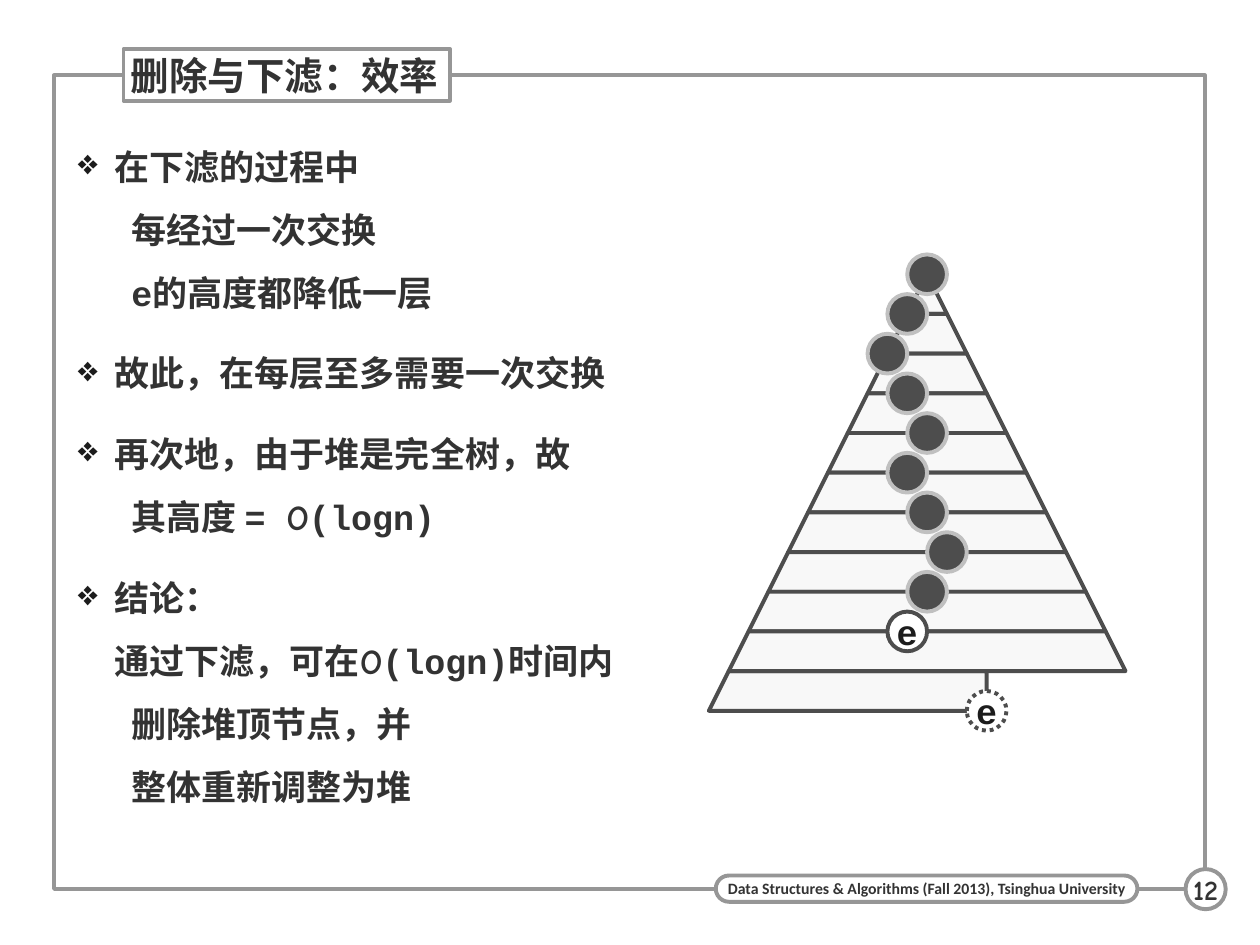
from dataclasses import dataclass

from lxml.etree import SubElement
from pptx import Presentation
from pptx.dml.color import RGBColor
from pptx.enum.dml import MSO_LINE_DASH_STYLE as Dash
from pptx.enum.lang import MSO_LANGUAGE_ID as Lang
from pptx.enum.shapes import MSO_SHAPE as Geo
from pptx.enum.text import MSO_ANCHOR as Anchor, PP_ALIGN as Align
from pptx.oxml.ns import qn
from pptx.util import Cm, Pt


@dataclass(frozen=True)
class Theme:
    text: str = "333333"
    strong: str = "1C1C1C"
    frame: str = "969696"
    ink: str = "4D4D4D"
    halo: str = "C0C0C0"
    layer: str = "F8F8F8"
    paper: str = "FFFFFF"
    line: float = 2.25
    title_size: int = 22
    body_size: int = 20
    page_size: int = 16
    footer_size: int = 9
    mono: str = "Courier New"
    comic: str = "Comic Neue"
    sans: str = "Calibri"


@dataclass(frozen=True)
class Label:
    text: str
    size: int
    font: str
    color: str
    align: Align = Align.CENTER
    inset: tuple[float, float] = (0, 0)


@dataclass(frozen=True)
class Node:
    """A heap node: horizontal offset in half steps from the apex, and level."""
    offset: int
    level: int
    text: str = ""
    dotted: bool = False


T = Theme()
APEX_X, APEX_Y = 18.69, 5.53
STEP = 0.8
HALF = STEP / 2
LEVELS = 10
LAST_ROW_END = 3
SIFT_PATH = [0, -1, -2, -1, 0, -1, 0, 1, 0]
NODES = [
    Node(LAST_ROW_END, LEVELS + 1, "e", dotted=True),
    *(Node(offset, level) for level, offset in enumerate(SIFT_PATH)),
    Node(-1, len(SIFT_PATH), "e"),
]

# Each bullet is a list of lines, each line a list of (text, font) runs.
BULLETS = [
    [[("在下滤的过程中", T.mono)],
     [("\t每经过一次交换", T.mono)],
     [("\te的高度都降低一层", T.mono)]],
    [[("故此，在每层至多需要一次交换", T.mono)]],
    [[("再次地，由于堆是完全树，故", T.mono)],
     [("\t其高度 = ", T.mono), ("O", T.comic), ("(logn)", T.mono)]],
    [[("结论：", T.mono)],
     [("通过下滤，可在", T.mono), ("O", T.comic), ("(logn)时间内", T.mono)],
     [("\t删除堆顶节点，并", T.mono)],
     [("\t整体重新调整为堆", T.mono)]],
]


def rgb(color: str) -> RGBColor:
    return RGBColor.from_string(color)


def add_run(p, text: str, size: int, font: str, color: str) -> None:
    r = p.add_run()
    r.text = text
    r.font.size = Pt(size)
    r.font.name = font
    r.font.bold = True
    r.font.color.rgb = rgb(color)
    r.font.language_id = Lang.SIMPLIFIED_CHINESE


def paint(s, fill: str | None, line: str) -> None:
    s.shadow.inherit = False
    if fill:
        s.fill.solid()
        s.fill.fore_color.rgb = rgb(fill)
    else:
        s.fill.background()
    s.line.color.rgb = rgb(line)
    s.line.width = Pt(T.line)


def add_box(shapes, geo: Geo, box: tuple, fill: str | None, line: str,
            label: Label | None = None):
    s = shapes.add_shape(geo, *map(Cm, box))
    paint(s, fill, line)
    if label:
        tf = s.text_frame
        tf.word_wrap = False
        tf.vertical_anchor = Anchor.MIDDLE
        tf.margin_left = tf.margin_right = Cm(label.inset[0])
        tf.margin_top = tf.margin_bottom = Cm(label.inset[1])
        p = tf.paragraphs[0]
        p.alignment = label.align
        add_run(p, label.text, label.size, label.font, label.color)
    return s


def add_polygon(shapes, points: list[tuple[float, float]]) -> None:
    (x, y), *rest = points
    builder = shapes.build_freeform(Cm(x), Cm(y))
    builder.add_line_segments([(Cm(px), Cm(py)) for px, py in rest])
    paint(builder.convert_to_shape(), T.layer, T.ink)


def add_layer(shapes, level: int, right: tuple[float, float]) -> None:
    """Draw one band; right holds the top and bottom offsets of its right end."""
    top = APEX_Y + STEP * level
    add_polygon(shapes, [
        (APEX_X - HALF * level, top),
        (APEX_X + right[0], top),
        (APEX_X + right[1], top + STEP),
        (APEX_X - HALF * (level + 1), top + STEP),
    ])


def add_heap(shapes) -> None:
    add_layer(shapes, LEVELS, (HALF * LAST_ROW_END, HALF * LAST_ROW_END))
    add_box(shapes, Geo.ISOSCELES_TRIANGLE,
            (APEX_X - HALF, APEX_Y, STEP, STEP), T.layer, T.ink)
    for level in range(1, LEVELS):
        add_layer(shapes, level, (HALF * level, HALF * (level + 1)))


def add_node(shapes, node: Node) -> None:
    box = (APEX_X + HALF * (node.offset - 1),
           APEX_Y + STEP * node.level - HALF, STEP, STEP)
    if not node.text:
        add_box(shapes, Geo.OVAL, box, T.ink, T.halo)
        return
    s = add_box(shapes, Geo.OVAL, box, T.paper, T.ink,
                Label(node.text, T.body_size, T.mono, T.strong))
    if node.dotted:
        s.line.dash_style = Dash.ROUND_DOT


def set_bullet(p) -> None:
    pPr = p._p.get_or_add_pPr()
    pPr.set("marL", str(Cm(0.74)))
    pPr.set("indent", str(-Cm(0.74)))
    color = SubElement(pPr, qn("a:buClr"))
    SubElement(color, qn("a:srgbClr"), val=T.strong)
    SubElement(pPr, qn("a:buChar"), char="❖")
    tabs = SubElement(pPr, qn("a:tabLst"))
    SubElement(tabs, qn("a:tab"), pos=str(Cm(1.08)), algn="l")


def add_body(shapes) -> None:
    tf = shapes.add_textbox(Cm(1.17), Cm(2.31), Cm(23.13), Cm(15)).text_frame
    tf.word_wrap = True
    tf.margin_left, tf.margin_right = Cm(0.4), 0
    tf.margin_top = tf.margin_bottom = Cm(0.2)
    for i, lines in enumerate(BULLETS):
        p = tf.add_paragraph() if i else tf.paragraphs[0]
        set_bullet(p)
        p.line_spacing = 1.5
        p.space_before = Pt(7.5 if i else 0)
        p.space_after = Pt(2.5)
        for j, line in enumerate(lines):
            if j:
                p.add_line_break()
            for text, font in line:
                add_run(p, text, T.body_size, font, T.text)


def main() -> None:
    prs = Presentation()
    prs.slide_width, prs.slide_height = Cm(25.4), Cm(19.05)
    shapes = prs.slides.add_slide(prs.slide_layouts[6]).shapes

    add_box(shapes, Geo.RECTANGLE, (1.09, 1.52, 23.2, 16.4), None, T.frame)
    footer = add_box(
        shapes, Geo.ROUNDED_RECTANGLE, (14.43, 17.65, 8.5, 0.53), T.paper, T.frame,
        Label("Data Structures & Algorithms (Fall 2013), Tsinghua University",
              T.footer_size, T.sans, T.text))
    footer.adjustments[0] = 0.5
    add_box(shapes, Geo.OVAL, (23.9, 17.52, 0.81, 0.81), T.paper, T.frame,
            Label("12", T.page_size, T.comic, T.text))
    add_box(shapes, Geo.RECTANGLE, (2.49, 0.99, 6.58, 1.04), T.paper, T.frame,
            Label("删除与下滤：效率", T.title_size, T.mono, T.text,
                  Align.LEFT, (0.15, 0.03)))
    add_body(shapes)
    add_heap(shapes)
    for node in NODES:
        add_node(shapes, node)
    prs.save("out.pptx")


if __name__ == "__main__":
    main()
